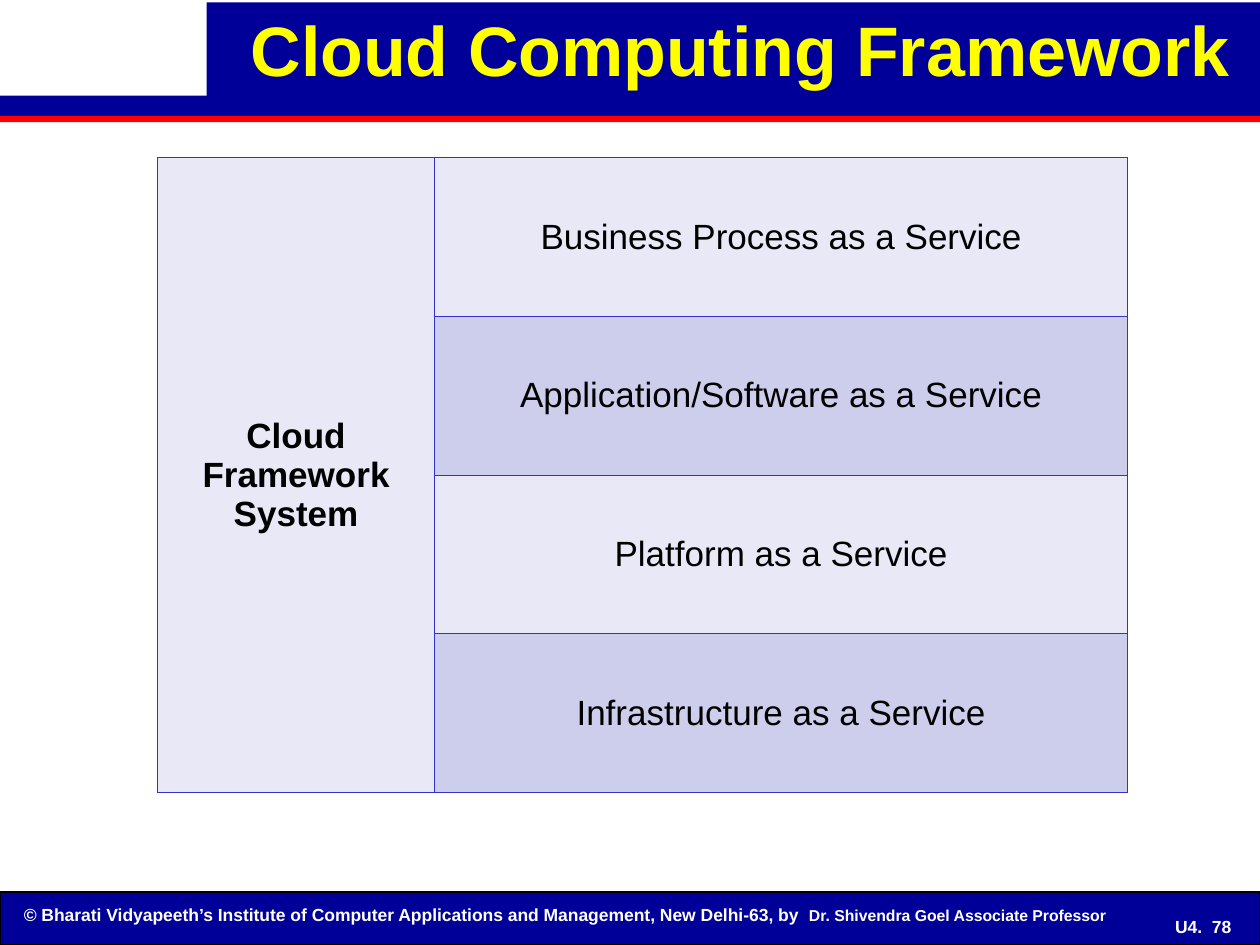
from dataclasses import dataclass

from lxml import etree
from pptx import Presentation
from pptx.dml.color import RGBColor
from pptx.enum.shapes import MSO_SHAPE
from pptx.enum.text import MSO_ANCHOR, MSO_AUTO_SIZE, PP_ALIGN
from pptx.oxml.ns import qn
from pptx.slide import Slide
from pptx.table import _Cell
from pptx.text.text import TextFrame, _Run
from pptx.util import Inches, Pt

RECTANGLE = MSO_SHAPE.RECTANGLE
TOP, MIDDLE = MSO_ANCHOR.TOP, MSO_ANCHOR.MIDDLE
LEFT, CENTER = PP_ALIGN.LEFT, PP_ALIGN.CENTER
NO_AUTOFIT = MSO_AUTO_SIZE.NONE

NAVY = RGBColor(0x00, 0x00, 0x99)
RED = RGBColor(0xFF, 0x00, 0x00)
YELLOW = RGBColor(0xFF, 0xFF, 0x00)
WHITE = RGBColor(0xFF, 0xFF, 0xFF)
BLACK = RGBColor(0x00, 0x00, 0x00)
PALE_LAVENDER = RGBColor(0xE8, 0xE8, 0xF6)
LAVENDER = RGBColor(0xCD, 0xCD, 0xEC)
BORDER_BLUE = RGBColor(0x33, 0x33, 0xCC)

FONT = "Arial"
SLIDE_WIDTH, SLIDE_HEIGHT = 10, 7.5
TABLE_LEFT, TABLE_TOP = 1.25, 1.25
COLUMN_WIDTHS = (2.2, 5.5)
ROW_HEIGHT = 1.26
BORDER_WIDTH = 0.45
BORDER_SIDES = ("a:lnL", "a:lnR", "a:lnT", "a:lnB")

SYSTEM = "Cloud Framework System"
SERVICES = (
    "Business Process as a Service",
    "Application/Software as a Service",
    "Platform as a Service",
    "Infrastructure as a Service",
)


@dataclass(frozen=True)
class Band:
    left: float
    top: float
    width: float
    height: float
    fill: RGBColor
    outline: RGBColor | None = None


@dataclass(frozen=True)
class Phrase:
    text: str
    size: float


@dataclass(frozen=True)
class Label:
    left: float
    top: float
    width: float
    height: float
    phrases: tuple[Phrase, ...]
    align: PP_ALIGN = LEFT
    anchor: MSO_ANCHOR = TOP


BANDS = (
    Band(0, 0.76, SLIDE_WIDTH, 0.16, NAVY),
    Band(0, 0.92, SLIDE_WIDTH, 0.05, RED),
    Band(1.64, 0.02, SLIDE_WIDTH - 1.64, 0.76, NAVY),
    Band(0, 7.08, SLIDE_WIDTH, SLIDE_HEIGHT - 7.08, NAVY, BLACK),
)

LABELS = (
    Label(0.09, 7.11, 9.18, 0.39, (
        Phrase("© Bharati Vidyapeeth’s Institute of Computer Applications "
               "and Management, New Delhi-63, by", 10),
        Phrase("  ", 11),
        Phrase("Dr. Shivendra Goel Associate Professor", 9),
    )),
    Label(9.11, 7.2, 0.88, 0.3, (Phrase("U4.  78", 10),), CENTER, MIDDLE),
)


def format_run(run: _Run, size: float, color: RGBColor, bold: bool = True) -> None:
    run.font.name = FONT
    run.font.size = Pt(size)
    run.font.bold = bold
    run.font.color.rgb = color


def set_frame(frame: TextFrame, anchor: MSO_ANCHOR) -> None:
    frame.word_wrap = True
    frame.auto_size = NO_AUTOFIT
    frame.vertical_anchor = anchor


def add_band(slide: Slide, band: Band) -> None:
    shape = slide.shapes.add_shape(
        RECTANGLE, Inches(band.left), Inches(band.top),
        Inches(band.width), Inches(band.height))
    shape.shadow.inherit = False
    shape.fill.solid()
    shape.fill.fore_color.rgb = band.fill
    if band.outline is None:
        shape.line.fill.background()
    else:
        shape.line.color.rgb = band.outline
        shape.line.width = Pt(0.75)


def add_label(slide: Slide, label: Label) -> None:
    box = slide.shapes.add_textbox(
        Inches(label.left), Inches(label.top),
        Inches(label.width), Inches(label.height))
    set_frame(box.text_frame, label.anchor)
    paragraph = box.text_frame.paragraphs[0]
    paragraph.alignment = label.align
    for phrase in label.phrases:
        run = paragraph.add_run()
        run.text = phrase.text
        format_run(run, phrase.size, WHITE)


def set_title(slide: Slide, text: str) -> None:
    title = slide.shapes.title
    title.left, title.top = Inches(1.75), Inches(0)
    title.width, title.height = Inches(SLIDE_WIDTH - 1.75), Inches(0.83)
    title.text_frame.text = text
    set_frame(title.text_frame, TOP)
    paragraph = title.text_frame.paragraphs[0]
    paragraph.alignment = CENTER
    format_run(paragraph.runs[0], 40, YELLOW)


def add_borders(cell: _Cell) -> None:
    """Outline all four sides; the lines must precede the fill in the XML."""
    properties = cell._tc.get_or_add_tcPr()
    for index, side in enumerate(BORDER_SIDES):
        line = etree.Element(qn(side), w=str(Pt(BORDER_WIDTH)))
        fill = etree.SubElement(line, qn("a:solidFill"))
        etree.SubElement(fill, qn("a:srgbClr"), val=str(BORDER_BLUE))
        properties.insert(index, line)


def fill_cell(cell: _Cell, text: str, fill: RGBColor, bold: bool = False) -> None:
    cell.text_frame.text = text
    cell.vertical_anchor = MIDDLE
    paragraph = cell.text_frame.paragraphs[0]
    paragraph.alignment = CENTER
    format_run(paragraph.runs[0], 20, BLACK, bold)
    cell.fill.solid()
    cell.fill.fore_color.rgb = fill


def add_framework_table(slide: Slide) -> None:
    row_count = len(SERVICES)
    table = slide.shapes.add_table(
        row_count, len(COLUMN_WIDTHS), Inches(TABLE_LEFT), Inches(TABLE_TOP),
        Inches(sum(COLUMN_WIDTHS)), Inches(row_count * ROW_HEIGHT)).table
    table.first_row = False
    table.horz_banding = False
    for column, width in zip(table.columns, COLUMN_WIDTHS):
        column.width = Inches(width)
    table.cell(0, 0).merge(table.cell(row_count - 1, 0))
    fill_cell(table.cell(0, 0), SYSTEM, PALE_LAVENDER, bold=True)
    for index, service in enumerate(SERVICES):
        fill = LAVENDER if index % 2 else PALE_LAVENDER
        fill_cell(table.cell(index, 1), service, fill)
    for cell in table.iter_cells():
        add_borders(cell)


def main() -> None:
    presentation = Presentation()
    presentation.slide_width = Inches(SLIDE_WIDTH)
    presentation.slide_height = Inches(SLIDE_HEIGHT)
    title_only = presentation.slide_layouts.get_by_name("Title Only")
    slide = presentation.slides.add_slide(title_only)
    for band in BANDS:
        add_band(slide, band)
    for label in LABELS:
        add_label(slide, label)
    set_title(slide, "Cloud Computing Framework")
    title_element = slide.shapes.title._element
    slide.shapes._spTree.append(title_element)  # bring in front of the bands
    add_framework_table(slide)
    presentation.save("out.pptx")


if __name__ == "__main__":
    main()
